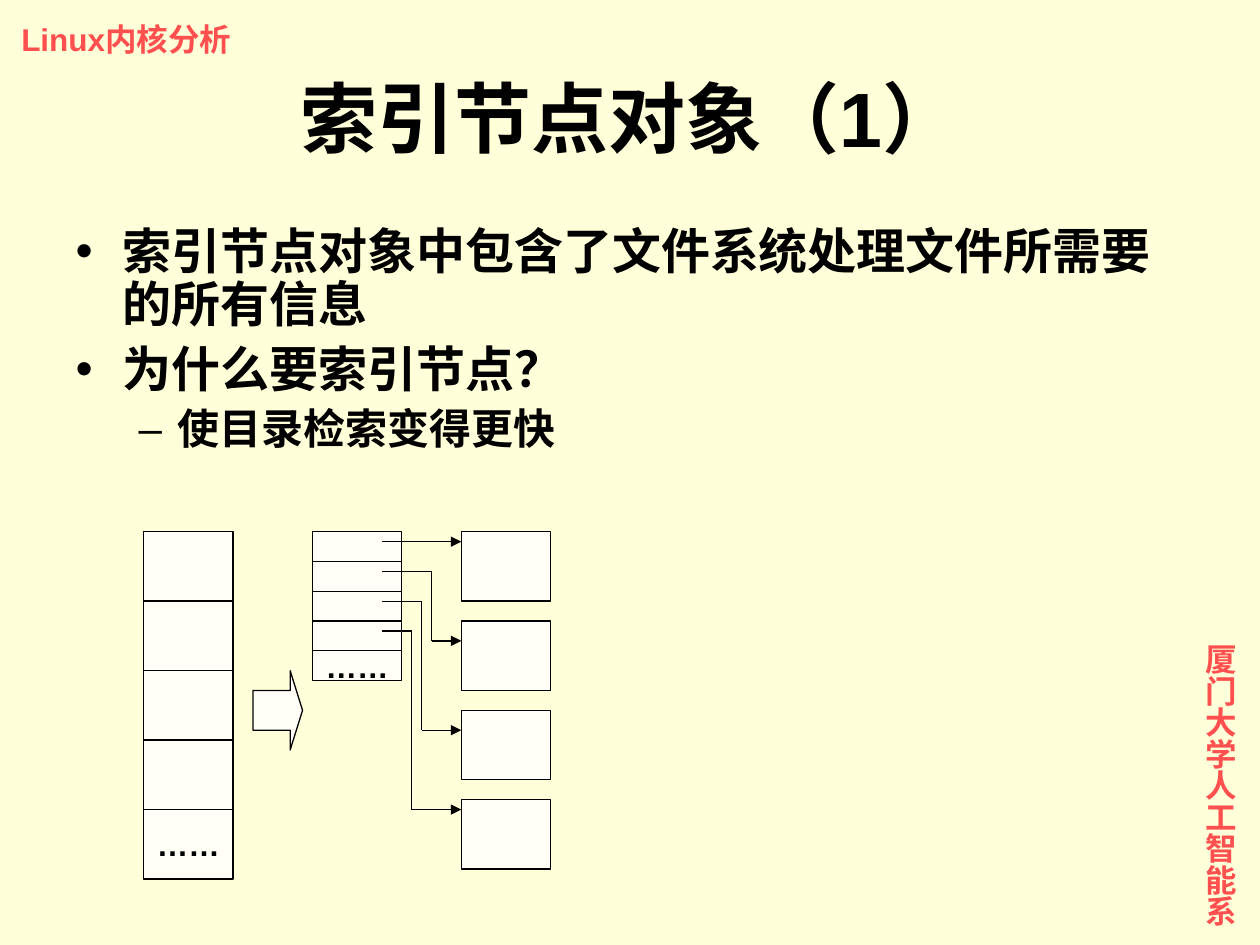
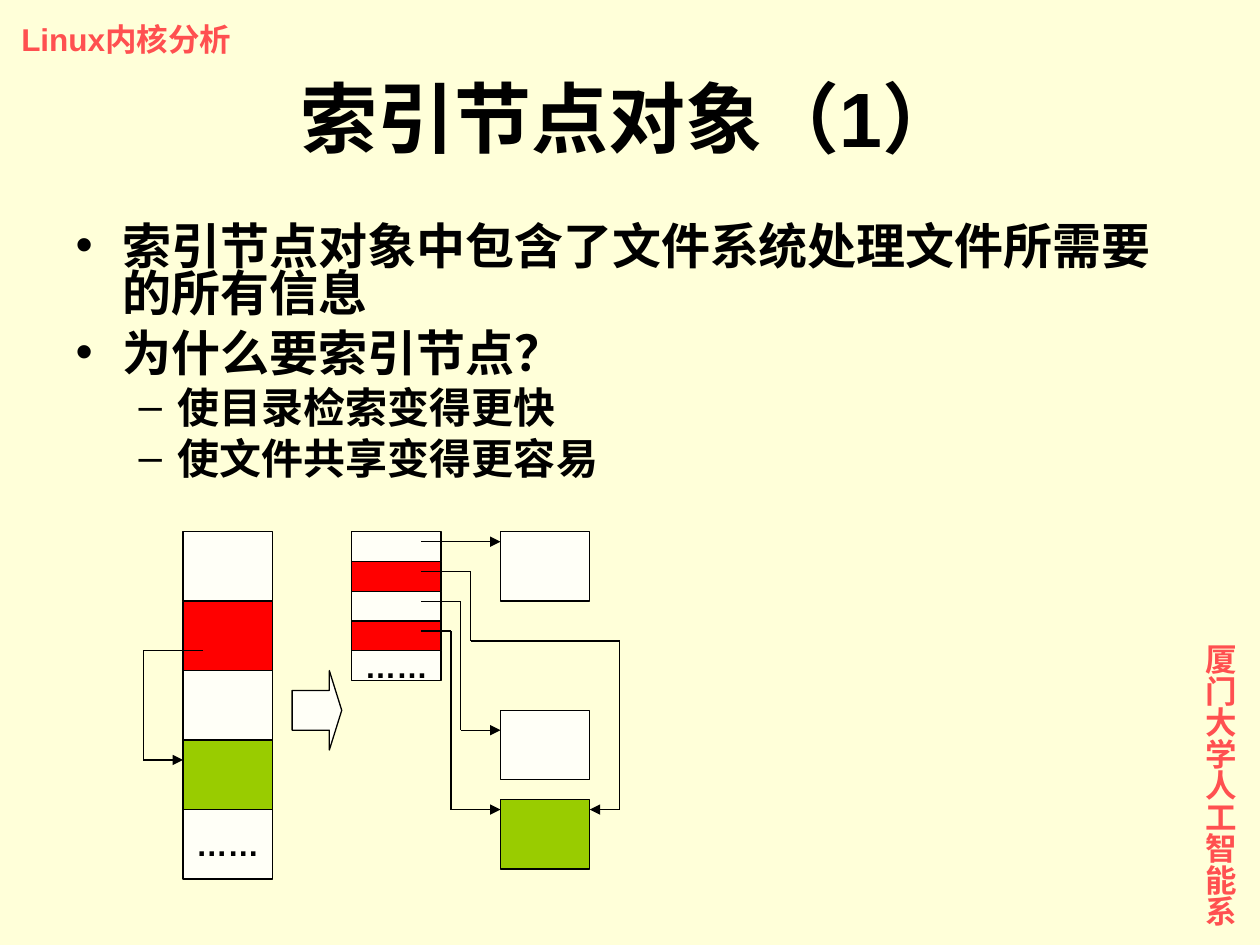
"""Build two slides on index node objects, each with a directory diagram."""
from lxml.etree import SubElement
from pptx import Presentation
from pptx.dml.color import RGBColor
from pptx.enum.shapes import MSO_CONNECTOR as CONN, MSO_SHAPE as SHAPE
from pptx.enum.text import MSO_ANCHOR as ANCHOR, MSO_AUTO_SIZE as AUTO, PP_ALIGN as ALIGN
from pptx.oxml.ns import qn
from pptx.util import Cm, Pt

COLORS = {"bg": "FFFFD9", "text": "000000", "label": "FF5050",
          "plain": "FFFFF7", "link": "FF0000", "shared": "99CC00"}
FONT = "Arial"
COURSE = "Linux内核分析"
SCHOOL = "厦门大学人工智能系"
TITLE = "索引节点对象（1）"
POINTS = [(0, "索引节点对象中包含了文件系统处理文件所需要的所有信息"),
          (0, "为什么要索引节点？"),
          (1, "使目录检索变得更快")]
LEVELS = [{"size": 28, "before": 7}, {"size": 24, "before": 6}]

UNIT, TOP = 0.2, 10.72
CELL_W, NODE_H, ENTRY_H, BLOCK_STEP = 9, 7, 3, 9
ENTRY_X, BLOCK_X = 17, 32
FIRST_ROUTE = [(24, 1), (32, 1)]
LAST_ROUTES = [[(24, 7), (28, 7), (28, 20), (32, 20)],
               [(24, 10), (27, 10), (27, 28), (32, 28)]]

SLIDES = [
    {"points": POINTS, "spacing": 0.9, "left": 2.9,
     "nodes": ["plain"] * 5, "entries": ["plain"] * 5,
     "blocks": ["plain"] * 4,
     "routes": [FIRST_ROUTE, [(24, 4), (29, 4), (29, 11), (32, 11)], *LAST_ROUTES]},
    {"points": POINTS + [(1, "使文件共享变得更容易")], "spacing": 0.8, "left": 3.69,
     "nodes": ["plain", "link", "plain", "shared", "plain"],
     "entries": ["plain", "link", "plain", "link", "plain"],
     "blocks": ["plain", None, "plain", "shared"],
     "routes": [FIRST_ROUTE,
                [(24, 4), (29, 4), (29, 11), (44, 11), (44, 28), (41, 28)],
                *LAST_ROUTES,
                [(2, 12), (-4, 12), (-4, 23), (0, 23)]]},
]


def rgb(name):
    return RGBColor.from_string(COLORS[name])


def write(p, text, size=18, color="text", align=None, level=0, before=0, spacing=None):
    p.level = level
    p.alignment = align
    p.space_before = Pt(before)
    p.line_spacing = spacing
    r = p.add_run()
    r.text = text
    r.font.name, r.font.size, r.font.bold = FONT, Pt(size), True
    r.font.color.rgb = rgb(color)


def place(sp, x, y, w, h):
    sp.left, sp.top, sp.width, sp.height = Cm(x), Cm(y), Cm(w), Cm(h)


def add_label(s, text, box, margins, vertical=False):
    tf = s.shapes.add_textbox(*map(Cm, box)).text_frame
    tf.word_wrap, tf.auto_size = False, AUTO.SHAPE_TO_FIT_TEXT
    tf.margin_left = tf.margin_right = Cm(margins[0])
    tf.margin_top = tf.margin_bottom = Cm(margins[1])
    if vertical:
        tf._txBody.bodyPr.set("vert", "eaVert")
    write(tf.paragraphs[0], text, color="label")


def add_text(s, points, spacing):
    title, body = s.shapes.title, s.placeholders[1]
    place(title, 1.27, 0.76, 22.86, 3.18)
    place(body, 1.27, 4.45, 22.86, 13.89)
    for sp, anchor in ((title, ANCHOR.MIDDLE), (body, ANCHOR.TOP)):
        sp.text_frame.auto_size = AUTO.NONE
        sp.text_frame.vertical_anchor = anchor
    write(title.text_frame.paragraphs[0], TITLE, size=44, align=ALIGN.CENTER)
    tf = body.text_frame
    for i, (level, text) in enumerate(points):
        p = tf.add_paragraph() if i else tf.paragraphs[0]
        fmt = LEVELS[level] if i else {**LEVELS[level], "before": 0}
        write(p, text, level=level, spacing=spacing, **fmt)


def add_diagram(s, left, nodes, entries, blocks, routes):
    def at(x, y):
        return Cm(left + x * UNIT), Cm(TOP + y * UNIT)

    def add_box(x, y, w, h, fill="plain", kind=SHAPE.RECTANGLE, text=None):
        sp = s.shapes.add_shape(kind, *at(x, y), Cm(w * UNIT), Cm(h * UNIT))
        sp.shadow.inherit = False
        sp.fill.solid()
        sp.fill.fore_color.rgb = rgb(fill)
        sp.line.color.rgb, sp.line.width = rgb("text"), Pt(0.75)
        if text:
            tf = sp.text_frame
            tf.word_wrap, tf.vertical_anchor = False, ANCHOR.MIDDLE
            write(tf.paragraphs[0], text, align=ALIGN.CENTER)
        return sp

    def add_route(points):
        for start, end in zip(points, points[1:]):
            line = s.shapes.add_connector(CONN.STRAIGHT, *at(*start), *at(*end))
            line.line.color.rgb, line.line.width = rgb("text"), Pt(0.75)
            SubElement(line.element.spPr, qn("a:effectLst"))
        SubElement(line.line._get_or_add_ln(), qn("a:tailEnd"), type="triangle")

    for x, height, fills in ((0, NODE_H, nodes), (ENTRY_X, ENTRY_H, entries)):
        for i, fill in enumerate(fills):
            last = i == len(fills) - 1
            add_box(x, i * height, CELL_W, height, fill, text="……" if last else None)
    for i, fill in enumerate(blocks):
        if fill:
            add_box(BLOCK_X, i * BLOCK_STEP, CELL_W, NODE_H, fill)
    arrow = add_box(11, 14, 5, 8, kind=SHAPE.RIGHT_ARROW)
    arrow.adjustments[0], arrow.adjustments[1] = 0.5, 0.25
    for route in routes:
        add_route(route)


def main():
    prs = Presentation()
    prs.slide_width, prs.slide_height = Cm(25.4), Cm(19.05)
    fill = prs.slide_master.background.fill
    fill.solid()
    fill.fore_color.rgb = rgb("bg")
    for data in SLIDES:
        s = prs.slides.add_slide(prs.slide_layouts[1])
        add_label(s, COURSE, (0.18, 0.28, 4.88, 1.02), (0.25, 0.13))
        add_label(s, SCHOOL, (23.83, 12.73, 1.27, 5.97), (0.13, 0.25), vertical=True)
        add_text(s, data["points"], data["spacing"])
        add_diagram(s, data["left"], data["nodes"], data["entries"],
                    data["blocks"], data["routes"])
    prs.save("out.pptx")


if __name__ == "__main__":
    main()
